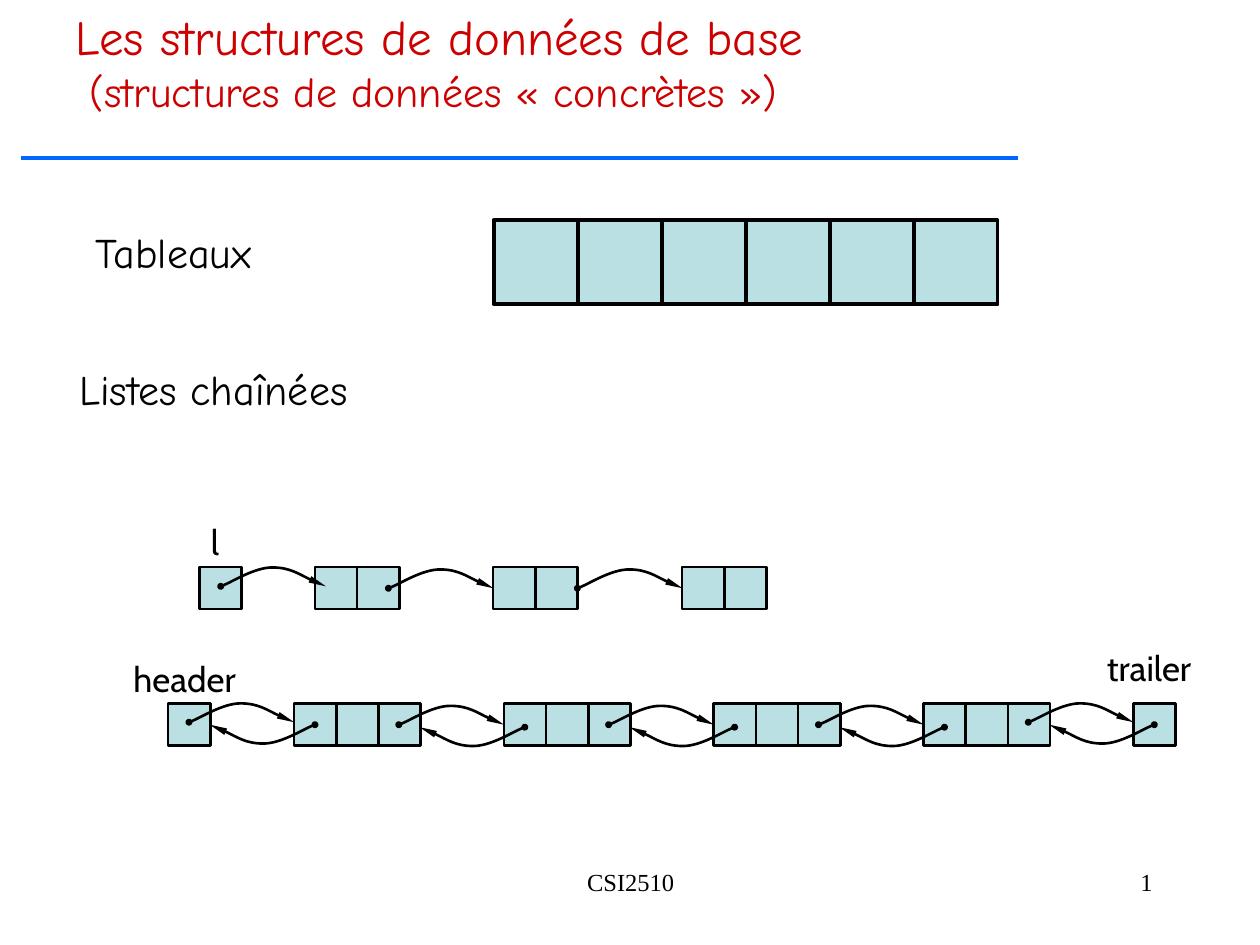
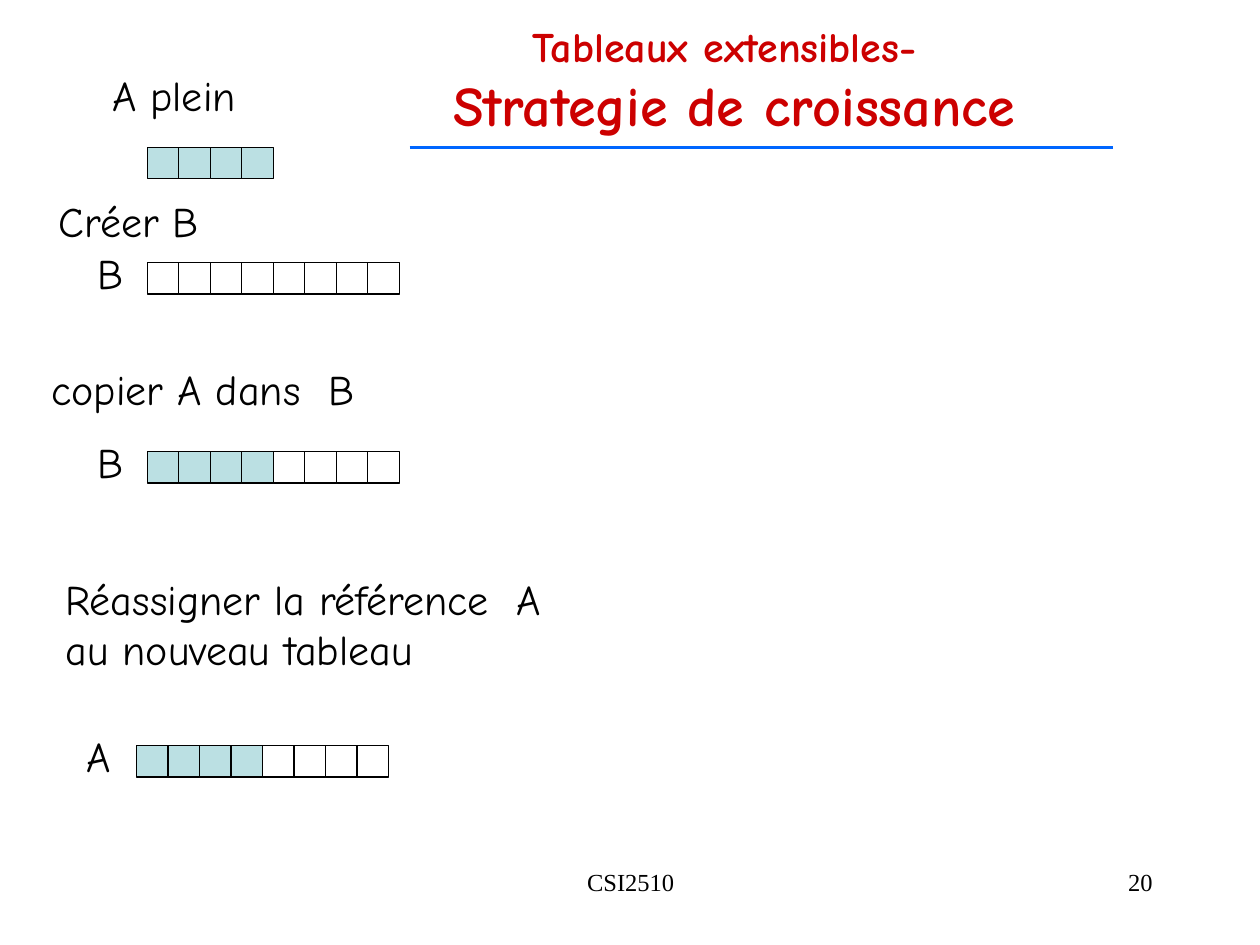
from dataclasses import dataclass

from lxml import etree
from pptx import Presentation
from pptx.dml.color import RGBColor
from pptx.enum.shapes import MSO_CONNECTOR, MSO_SHAPE
from pptx.enum.text import MSO_ANCHOR, MSO_AUTO_SIZE, PP_ALIGN
from pptx.oxml.ns import qn
from pptx.util import Cm, Pt

LEFT, CENTER, RIGHT = PP_ALIGN.LEFT, PP_ALIGN.CENTER, PP_ALIGN.RIGHT
TOP, MIDDLE = MSO_ANCHOR.TOP, MSO_ANCHOR.MIDDLE
FIT, NO_FIT = MSO_AUTO_SIZE.SHAPE_TO_FIT_TEXT, MSO_AUTO_SIZE.NONE
RECT, STRAIGHT = MSO_SHAPE.RECTANGLE, MSO_CONNECTOR.STRAIGHT
TITLE_ONLY = 5


@dataclass(frozen=True)
class Theme:
    """Colours, fonts and type sizes of the deck."""
    ink: RGBColor = RGBColor(0, 0, 0)
    title: RGBColor = RGBColor(0xCC, 0, 0)
    rule: RGBColor = RGBColor(0, 0x66, 0xFF)
    full: RGBColor = RGBColor(0xBB, 0xE0, 0xE3)
    empty: RGBColor = RGBColor(0xFF, 0xFF, 0xFF)
    hand: str = "Comic Neue"
    sans: str = "Cabin"
    serif: str = "Times New Roman"
    title_large: int = 32
    title_medium: int = 28
    body: int = 24
    pointer: int = 20
    footer: int = 14


THEME = Theme()
CELL = 0.85
SLOT = 5.08 / 8
NODE_PITCH = 4.23
ARC = [(0, 0), (0.17, -0.05), (0.69, -0.38), (1.04, -0.38),
       (1.4, -0.38), (1.88, -0.08), (2.12, 0)]


def write(tf, lines, font, color, align=LEFT, bold=False):
    """Fill a text frame with (text, size) lines."""
    for i, (text, size) in enumerate(lines):
        p = tf.paragraphs[0] if i == 0 else tf.add_paragraph()
        p.text = text
        p.alignment = align
        p.font.name, p.font.size = font, Pt(size)
        p.font.bold, p.font.color.rgb = bold, color


def add_label(s, box, text, font=THEME.hand, size=THEME.body, align=LEFT, wrap=False):
    """Add a text box with one paragraph per line of text."""
    tf = s.shapes.add_textbox(*map(Cm, box)).text_frame
    tf.word_wrap = wrap
    tf.auto_size = NO_FIT if wrap else FIT
    write(tf, [(line, size) for line in text.split("\n")], font, THEME.ink, align)


def add_title(s, box, lines, align=LEFT, anchor=TOP, bold=False):
    """Place and format the title placeholder."""
    sp = s.shapes.title
    sp.left, sp.top, sp.width, sp.height = map(Cm, box)
    tf = sp.text_frame
    tf.auto_size, tf.word_wrap, tf.vertical_anchor = NO_FIT, True, anchor
    write(tf, lines, THEME.hand, THEME.title, align, bold)


def add_rule(s, x1, x2, y):
    """Draw the blue line under the title."""
    line = s.shapes.add_connector(STRAIGHT, Cm(x1), Cm(y), Cm(x2), Cm(y))
    line.line.color.rgb, line.line.width = THEME.rule, Pt(2)
    etree.SubElement(line._element.spPr, qn("a:effectLst"))


def add_footer(s, number):
    """Add the course code and the slide number."""
    for box, text, align in [((8.69, 17.35, 8.05, 1.27), "CSI2510", CENTER),
                             ((18.21, 17.35, 5.28, 1.27), number, RIGHT)]:
        add_label(s, box, text, THEME.serif, THEME.footer, align, wrap=True)


def add_cells(s, x, y, width, count, weight, filled=None):
    """Draw a row of square cells, the first ones filled."""
    side = Cm(width) / count
    for i in range(count):
        cell = s.shapes.add_shape(RECT, round(Cm(x) + i * side), Cm(y), round(side), round(side))
        cell.shadow.inherit = False
        cell.fill.solid()
        cell.fill.fore_color.rgb = THEME.full if filled is None or i < filled else THEME.empty
        cell.line.color.rgb, cell.line.width = THEME.ink, Pt(weight)


def add_link(s, x, y, direction=1):
    """Draw a curved pointer; direction -1 turns it by half a turn."""
    points = [(Cm(x + direction * dx), Cm(y + direction * dy)) for dx, dy in ARC]
    builder = s.shapes.build_freeform(*points[0])
    builder.add_line_segments(points[1:], close=False)
    sp = builder.convert_to_shape()
    sp.shadow.inherit = False
    sp.fill.background()
    sp.line.color.rgb, sp.line.width = THEME.ink, Pt(1.5)
    outline = sp._element.find(".//" + qn("a:path"))
    segments = outline.findall(qn("a:lnTo"))
    for i in range(0, len(segments), 3):
        curve = etree.SubElement(outline, qn("a:cubicBezTo"))
        for segment in segments[i:i + 3]:
            curve.append(segment[0])
            outline.remove(segment)
    ln = sp.line._get_or_add_ln()
    etree.SubElement(ln, qn("a:headEnd"), type="oval", w="sm", len="sm")
    etree.SubElement(ln, qn("a:tailEnd"), type="triangle", w="sm", len="lg")


def add_single_list(s, x, y):
    """Draw the singly linked list from its reference l."""
    add_cells(s, x, y, CELL, 1, 1.5)
    for dx in (2.33, 5.92, 9.73):
        add_cells(s, x + dx, y, 2 * CELL, 2, 1.5)
    for dx, dy in [(0.43, 0.39), (3.81, 0.43), (7.62, 0.43)]:
        add_link(s, x + dx, y + dy)
    add_label(s, (x - 0.03, y - 1.07, 0.69, 1.12), "l", THEME.sans, THEME.pointer, CENTER)


def add_double_list(s, x, y, nodes=4):
    """Draw the doubly linked list between header and trailer."""
    first = x + 2.54
    trailer = first + nodes * NODE_PITCH
    for end in (x, trailer):
        add_cells(s, end, y, CELL, 1, 1.5)
    for i in range(nodes):
        add_cells(s, first + i * NODE_PITCH, y, 3 * CELL, 3, 1.5)
    for i in range(nodes + 1):
        drop = 0.05 if 0 < i < nodes else 0
        add_link(s, x + 0.42 + i * NODE_PITCH, y + 0.38 + drop)
        add_link(s, first + 0.42 + i * NODE_PITCH, y + 0.43 + drop, -1)
    for box, text in [((x - 1.1, y - 1.06, 2.87, 1.12), "header"),
                      ((trailer - 0.93, y - 1.28, 2.49, 1.12), "trailer")]:
        add_label(s, box, text, THEME.sans, THEME.pointer, CENTER)


def add_stage(s, x, y, caption, caption_box, slots, filled, name=None):
    """Draw one growth step: caption, array name and cells at x, y."""
    dx, dy, width, height = caption_box
    add_label(s, (x + dx, y + dy, width, height), caption)
    if name:
        add_label(s, (x - 1.25, y - 0.43, 1.02, 1.27), name)
    add_cells(s, x, y, slots * SLOT, slots, 0.75, filled)


def structures_slide(prs):
    """Build the slide on basic data structures."""
    s = prs.slides.add_slide(prs.slide_layouts[TITLE_ONLY])
    add_title(s, (1.27, 0, 15.52, 2.46),
              [("Les structures de données de base", THEME.title_medium),
               (" (structures de données « concrètes »)", THEME.body)])
    add_rule(s, 0.42, 20.53, 3.18)
    add_label(s, (1.68, 4.44, 3.71, 1.27), "Tableaux")
    add_cells(s, 9.95, 4.44, 10.16, 6, 2.25)
    add_label(s, (1.35, 7.2, 5.94, 1.27), "Listes chaînées")
    add_single_list(s, 4.02, 11.43)
    add_double_list(s, 3.39, 14.18)
    add_footer(s, "1")


def growth_slide(prs):
    """Build the slide on growing an array."""
    s = prs.slides.add_slide(prs.slide_layouts[TITLE_ONLY])
    add_title(s, (3.81, 0, 21.59, 3.18),
              [("Tableaux extensibles-", THEME.body),
               (" Strategie de croissance", THEME.title_large)], CENTER, MIDDLE, True)
    add_rule(s, 8.26, 22.43, 2.97)
    add_stage(s, 2.97, 2.97, "A plein", (-0.96, -1.7, 3, 1.27), 4, 4)
    add_stage(s, 2.97, 5.29, "Créer B", (-2.03, -1.48, 3.35, 1.27), 8, 0, "B")
    add_stage(s, 2.97, 9.1, "copier A dans  B", (-2.18, -1.9, 7.2, 1.27), 8, 4, "B")
    add_stage(s, 2.75, 15.03, "Réassigner la référence  A\nau nouveau tableau",
              (-1.68, -3.6, 10.8, 2.29), 8, 4, "A")
    add_footer(s, "20")


def main():
    """Build and save the deck."""
    prs = Presentation()
    prs.slide_width, prs.slide_height = Cm(25.4), Cm(19.05)
    structures_slide(prs)
    growth_slide(prs)
    prs.save("out.pptx")


if __name__ == "__main__":
    main()
